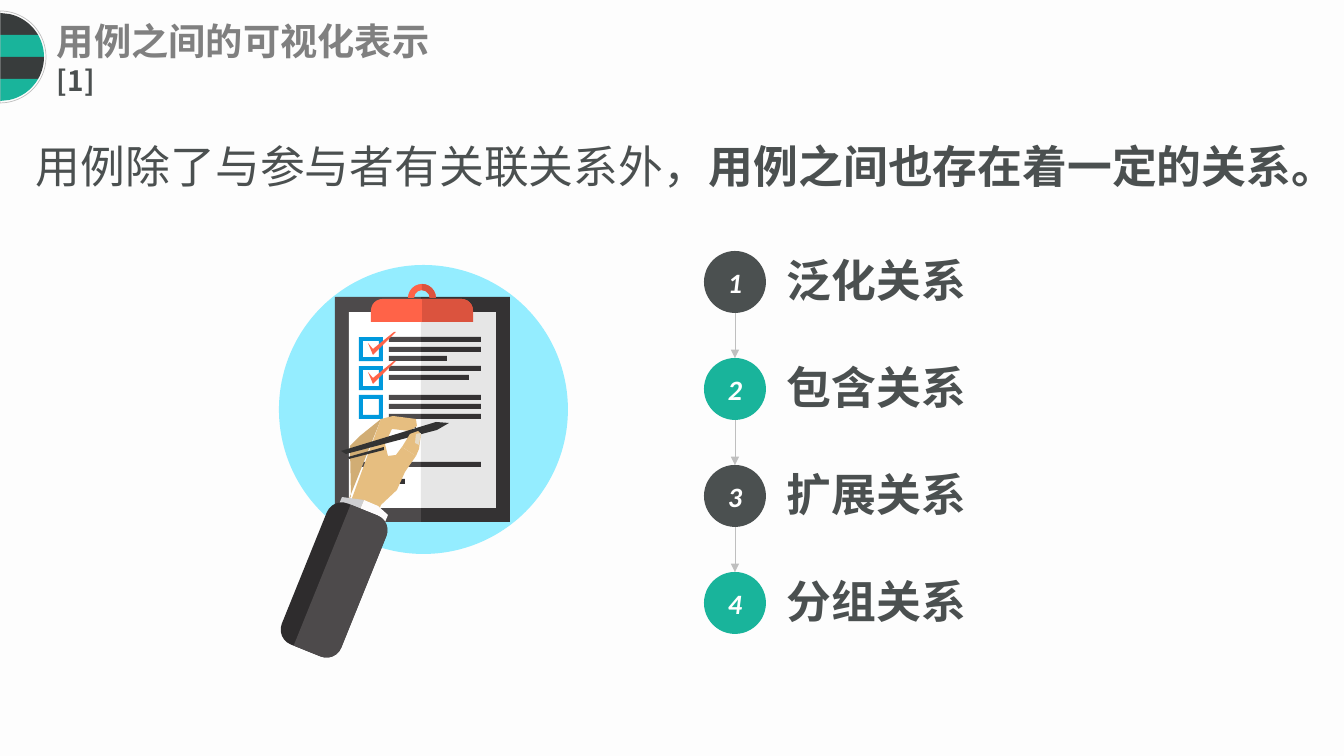
from math import cos, pi, sin, sqrt

from lxml import etree
from pptx import Presentation
from pptx.dml.color import RGBColor
from pptx.enum.shapes import MSO_CONNECTOR, MSO_SHAPE
from pptx.enum.text import MSO_ANCHOR, PP_ALIGN
from pptx.oxml.ns import qn
from pptx.util import Pt

OVAL, RECT, FRAME = MSO_SHAPE.OVAL, MSO_SHAPE.RECTANGLE, MSO_SHAPE.FRAME
ROUNDED, ARC = MSO_SHAPE.ROUNDED_RECTANGLE, MSO_SHAPE.BLOCK_ARC
ROUND_TOP = MSO_SHAPE.ROUND_2_SAME_RECTANGLE
ROUND_CORNER = MSO_SHAPE.ROUND_1_RECTANGLE
STRAIGHT = MSO_CONNECTOR.STRAIGHT
TOP, MIDDLE = MSO_ANCHOR.TOP, MSO_ANCHOR.MIDDLE
LEFT, CENTER = PP_ALIGN.LEFT, PP_ALIGN.CENTER

PAPER = RGBColor.from_string("FDFDFD")
GREEN = RGBColor.from_string("19B49B")
CHARCOAL = RGBColor.from_string("383C3C")
SLATE = RGBColor.from_string("4B5050")
GREY = RGBColor.from_string("808080")
SILVER = RGBColor.from_string("BFBFBF")
WHITE = RGBColor.from_string("FFFFFF")
SKY = RGBColor.from_string("94EDFF")
PAGE_SHADE = RGBColor.from_string("E6E6E6")
DARK = RGBColor.from_string("4D4A4B")
DARKER = RGBColor.from_string("343233")
BLUE = RGBColor.from_string("0099DD")
CORAL = RGBColor.from_string("FF6348")
CORAL_SHADE = RGBColor.from_string("DB533E")
SKIN = RGBColor.from_string("E6BE80")
SKIN_SHADE = RGBColor.from_string("D1AD74")
NAIL = RGBColor.from_string("E6DBC6")
CUFF = RGBColor.from_string("FDFBFC")
CUFF_SHADE = RGBColor.from_string("CECED1")
SLEEVE_SHADE = RGBColor.from_string("2E2C2D")
PEN = RGBColor.from_string("333333")
CJK_FONT = "Noto Sans CJK SC"
EMU_PER_PIXEL = 914400 / 100.8


def px(*values):
    """Turn pixel lengths into whole EMU."""
    return [round(value * EMU_PER_PIXEL) for value in values]


def paint(shapes, color, outline, kind=None):
    """Add a preset shape in a box, or a polygon through points, in one colour."""
    if kind is None:
        builder = shapes.build_freeform(*px(*outline[0]), scale=1.0)
        builder.add_line_segments([px(*point) for point in outline[1:]], close=True)
        shape = builder.convert_to_shape()
    else:
        shape = shapes.add_shape(kind, *px(*outline))
    shape.shadow.inherit = False
    shape.fill.solid()
    shape.fill.fore_color.rgb = color
    shape.line.fill.background()
    return shape


deck = Presentation()
deck.slide_width, deck.slide_height = px(1344, 756)
slide = deck.slides.add_slide(deck.slide_layouts[6])
slide.background.fill.solid()
slide.background.fill.fore_color.rgb = PAPER

# Striped half disc at the left edge
badge = slide.shapes.add_group_shape().shapes
MID, RADIUS, STRIPE = 57, 44, 22
for row in range(4):
    top = MID - RADIUS + row * STRIPE
    arc = [(sqrt(RADIUS ** 2 - (y - MID) ** 2), y) for y in range(top, top + STRIPE + 1)]
    paint(badge, (CHARCOAL, GREEN)[row % 2], [(0, top), *arc, (0, top + STRIPE)])
ring = paint(badge, WHITE, [(46 * sin(n * pi / 48), MID - 46 * cos(n * pi / 48))
                            for n in range(49)])
ring.fill.background()
ring.line.color.rgb = SILVER
ring.line.width = Pt(0.5)

# Texts: fill, box, anchor, alignment, insets, runs
BULLET_X, BULLET_Y, BULLET, PITCH = 704, 251, 62, 107
relations = ["泛化关系", "包含关系", "扩展关系", "分组关系"]
texts = [
    (None, (57, 35, 417, 45), MIDDLE, LEFT, (0, 0),
     [("用例之间的可视化表示", 26.6, "Arial", GREY, True, False),
      "break",
      ("[1]", 20, CJK_FONT, SLATE, True, False)]),
    (None, (36, 134, 1308, 65), TOP, LEFT, (0, 5),
     [("用例除了与参与者有关联关系外，", 32, "Calibri", SLATE, False, False),
      ("用例之间也存在着一定的关系。", 32, "Calibri", SLATE, True, False)]),
]
for row, relation in enumerate(relations):
    top = BULLET_Y + row * PITCH
    texts.append(((SLATE, GREEN)[row % 2], (BULLET_X, top, BULLET, BULLET), MIDDLE, CENTER,
                  (10, 5), [(str(row + 1), 20, "Calibri", WHITE, True, True)]))
    texts.append((None, (777, top - 3, 493, 45), TOP, LEFT, (10, 5),
                  [(relation, 32, "Calibri", SLATE, True, False)]))

for fill, box, anchor, align, (inset_x, inset_y), runs in texts:
    if fill is None:
        holder = slide.shapes.add_textbox(*px(*box))
    else:
        holder = paint(slide.shapes, fill, box, OVAL)
    frame = holder.text_frame
    frame.word_wrap = True
    frame.vertical_anchor = anchor
    frame.margin_left, frame.margin_right = px(inset_x, inset_x)
    frame.margin_top, frame.margin_bottom = px(inset_y, inset_y)
    paragraph = frame.paragraphs[0]
    paragraph.alignment = align
    for piece in runs:
        if piece == "break":
            paragraph.add_line_break()
            continue
        run = paragraph.add_run()
        run.text, size, font, color, run.font.bold, run.font.italic = piece
        run.font.size, run.font.name, run.font.color.rgb = Pt(size), font, color
        etree.SubElement(run.font._element, qn("a:ea"), typeface=CJK_FONT)

# Arrows from bullet to bullet
center_x = BULLET_X + BULLET / 2
for row in range(len(relations) - 1):
    top = BULLET_Y + row * PITCH
    arrow = slide.shapes.add_connector(
        STRAIGHT, *px(center_x, top + BULLET, center_x, top + PITCH))
    arrow.line.color.rgb = SILVER
    arrow.line.width = Pt(0.25)
    etree.SubElement(arrow.line._get_or_add_ln(), qn("a:tailEnd"), type="triangle")
    etree.SubElement(arrow._element.spPr, qn("a:effectLst"))

# Clipboard: disc, then board, page and written lines in two halves
clipboard = slide.shapes.add_group_shape().shapes
FOLD, BAR = 421, 5
paint(clipboard, SKY, (279, 265, 289, 289), OVAL)
halves = [(335, FOLD, 297, 225, DARK), (FOLD, 510, 297, 225, DARKER),
          (349, FOLD, 312, 196, WHITE), (FOLD, 496, 312, 196, PAGE_SHADE),
          (389, 416, 423, BAR, DARK), (377, 405, 479, BAR, DARKER)]
short_rows = {2: 447, 4: 469}
for row in (0, 1, 2, 3, 4, 6, 7, 8, 13):
    top = 337 + round(9.6 * row)
    halves.append((359 if row == 13 else 389, FOLD, top, BAR, DARK))
    halves.append((FOLD, short_rows.get(row, 481), top, BAR, DARKER))
for left, right, top, height, color in halves:
    paint(clipboard, color, (left, top, right - left, height), RECT)

for row in range(3):
    top = 337 + round(28.8 * row)
    paint(clipboard, BLUE, (359, top, 24, 24), FRAME).adjustments[0] = 4 / 24
    if row < 2:
        paint(clipboard, CORAL, [(394, top - 5), (373, top + 12), (368, top + 6),
                                 (373, top + 18), (396, top - 5)])

# Clip with its hanging loop, right half shaded
paint(clipboard, CORAL, (371, 299, 102, 23), ROUND_TOP).adjustments[0] = 0.5
paint(clipboard, CORAL_SHADE, (422, 299, 51, 23), ROUND_CORNER).adjustments[0] = 0.5
for color, start in [(CORAL, 108), (CORAL_SHADE, 162)]:
    loop = paint(clipboard, color, (408, 284, 28, 28), ARC)
    loop.adjustments[0], loop.adjustments[2] = start, 0.22

# Writing hand, cuff and sleeve
for color, corners in [
    (SKIN_SHADE, [(345, 509), (351, 496), (350, 446), (360, 436), (381, 419)]),
    (SKIN, [(381, 419), (393, 416), (416, 419), (417, 426), (410, 431), (392, 429),
            (385, 444), (388, 456), (396, 455), (402, 447), (416, 456), (405, 472),
            (397, 490), (381, 505), (370, 536), (347, 512)]),
    (CUFF, [(388, 515), (379, 537), (353, 526), (364, 500), (378, 506)]),
    (CUFF_SHADE, [(342, 497), (364, 500), (353, 526), (333, 519)]),
]:
    paint(clipboard, color, corners)
for color, kind, box, turn, rounding in [
    (SLEEVE_SHADE, ROUNDED, (302, 504, 64, 152), 22, 0.25),
    (DARK, ROUND_TOP, (267, 561, 152, 45), 112, 0.35),
]:
    sleeve = paint(clipboard, color, box, kind)
    sleeve.rotation = turn
    sleeve.adjustments[0] = rounding

# Pen, its pocket clip, and the thumb over it
for color, corners in [
    (PEN, [(341, 451), (436, 422), (449, 423), (437, 430), (346, 454)]),
    (PEN, [(348, 457), (384, 447), (384, 450), (349, 459)]),
    (SKIN, [(402, 447), (410, 434), (418, 431), (421, 434), (419, 449), (416, 456)]),
    (NAIL, [(415, 443), (416, 434), (421, 433), (419, 445)]),
]:
    paint(clipboard, color, corners)

deck.save("out.pptx")
